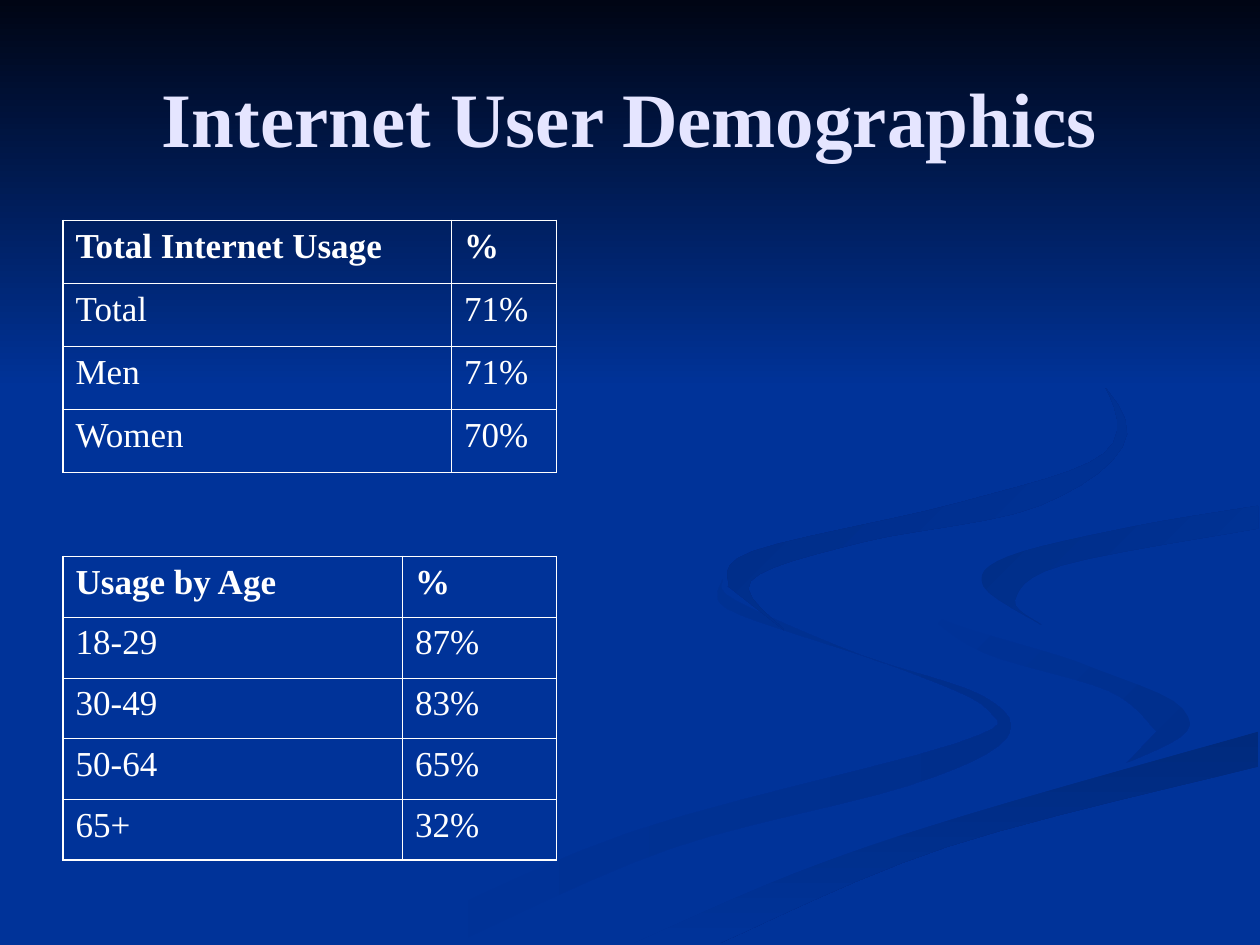
from dataclasses import dataclass
from lxml.etree import SubElement
from pptx import Presentation
from pptx.dml.color import RGBColor
from pptx.enum.text import MSO_ANCHOR, PP_ALIGN
from pptx.oxml.ns import qn
from pptx.util import Pt


@dataclass(frozen=True)
class Theme:
    font: str = "Times New Roman"
    title_size: float = 44
    cell_size: float = 20
    background: str = "003399"
    night: str = "000514"
    title: str = "E5E5FF"
    text: str = "FFFFFF"
    outer_line: float = 1.08
    inner_line: float = 0.45


THEME = Theme()
WIDTH, HEIGHT = 720, 540
TITLE = "Internet User Demographics"

TABLES = [
    dict(top=126, columns=(222, 60), row_height=36, rows=[
        ("Total Internet Usage", "%"), ("Total", "71%"), ("Men", "71%"), ("Women", "70%")]),
    dict(top=318, columns=(194, 88), row_height=34.75, rows=[
        ("Usage by Age", "%"), ("18-29", "87%"), ("30-49", "83%"), ("50-64", "65%"),
        ("65+", "32%")]),
]
TABLE_LEFT = 36

# Edges that two ribbons share
LOWER_EDGE = [(362, 539), (454, 499), (551, 466), (719, 418)]
UPPER_EDGE = [(595, 357), (562, 335), (576, 318), (647, 301), (719, 289)]

# Ribbons: start colour, end colour, clockwise angle, curved edges in drawing order
RIBBONS = [
    (THEME.background, "002E8B", 0, [
        [(413, 331), (420, 343), (491, 374), (562, 398), (575, 422), (519, 449),
         (383, 485), (260, 539)],
        [(216, 539), (359, 476), (546, 425), (565, 406), (514, 382), (422, 351), (410, 338)]]),
    (THEME.background, "002E8B", 45, [
        [(521, 334), (536, 353), (612, 377), (670, 398), (678, 418), (644, 436)],
        [(661, 418), (634, 395), (562, 373), (526, 348)]]),
    ("002A7D", THEME.background, 90, [
        LOWER_EDGE, [(719, 438), (541, 484), (411, 539)]]),
    (THEME.background, THEME.background, 0, [
        [(719, 279), (613, 296), (534, 316), (524, 341), (613, 377), (676, 405),
         (656, 432), (507, 472), (343, 539)],
        LOWER_EDGE, [(719, 387), (651, 374), (595, 357)], UPPER_EDGE]),
    ("002D86", THEME.background, 45, [
        UPPER_EDGE, [(719, 302), (607, 323), (580, 343), (595, 357)]]),
    ("002B82", THEME.background, 45, [
        [(549, 168), (607, 198), (644, 248), (594, 289), (492, 310), (429, 332), (448, 360)],
        [(416, 335), (430, 315), (549, 287), (631, 259), (631, 220), (596, 192)]]),
]
FADE_HEIGHT = 222


def smooth(edge, steps=6):
    """Run a Catmull-Rom curve through the points of an edge."""
    padded = [edge[0], *edge, edge[-1]]
    curve = []
    for a, b, c, d in zip(padded, padded[1:], padded[2:], padded[3:]):
        for step in range(steps):
            t = step / steps
            curve.append(tuple(
                q + t * (r - p + t * (2 * p - 5 * q + 4 * r - s
                                      + t * (3 * q - p - 3 * r + s))) / 2
                for p, q, r, s in zip(a, b, c, d)))
    return curve + [edge[-1]]


def write_text(frame, text, size, color, bold=False, align=PP_ALIGN.LEFT):
    paragraph = frame.paragraphs[0]
    paragraph.alignment = align
    span = paragraph.add_run()
    span.text = text
    span.font.name = THEME.font
    span.font.size = Pt(size)
    span.font.bold = bold
    span.font.color.rgb = RGBColor.from_string(color)


def add_backdrop(page, start, end, angle, outline):
    points = [(Pt(x), Pt(y)) for x, y in outline]
    builder = page.shapes.build_freeform(*points[0])
    builder.add_line_segments(points[1:], close=True)
    shape = builder.convert_to_shape()
    shape.shadow.inherit = False
    shape.line.fill.background()
    if start == end:
        shape.fill.solid()
        shape.fill.fore_color.rgb = RGBColor.from_string(start)
        return
    shape.fill.gradient()
    shape.fill.gradient_angle = (360 - angle) % 360
    for stop, color in zip(shape.fill.gradient_stops, (start, end)):
        stop.color.rgb = RGBColor.from_string(color)


def set_borders(cell, outer_sides):
    properties = cell._tc.get_or_add_tcPr()
    for index, side in enumerate(("lnL", "lnR", "lnT", "lnB")):
        width = THEME.outer_line if side in outer_sides else THEME.inner_line
        line = SubElement(properties, qn(f"a:{side}"), w=str(int(Pt(width))))
        fill = SubElement(line, qn("a:solidFill"))
        SubElement(fill, qn("a:srgbClr"), val=THEME.text)
        properties.insert(index, line)


def add_usage_table(page, top, columns, row_height, rows):
    table = page.shapes.add_table(
        len(rows), len(columns), Pt(TABLE_LEFT), Pt(top),
        Pt(sum(columns)), Pt(row_height * len(rows))).table
    table.horz_banding = False
    for column, width in zip(table.columns, columns):
        column.width = Pt(width)
    for r, values in enumerate(rows):
        table.rows[r].height = Pt(row_height)
        for c, value in enumerate(values):
            cell = table.cell(r, c)
            cell.fill.background()
            write_text(cell.text_frame, value, size=THEME.cell_size,
                       color=THEME.text, bold=r == 0)
            edges = {"lnL": c == 0, "lnR": c == len(columns) - 1,
                     "lnT": r == 0, "lnB": r == len(rows) - 1}
            set_borders(cell, {side for side, outer in edges.items() if outer})


def main():
    deck = Presentation()
    deck.slide_width, deck.slide_height = Pt(WIDTH), Pt(HEIGHT)
    page = deck.slides.add_slide(deck.slide_layouts[6])

    # Background ribbons and top fade
    page.background.fill.solid()
    page.background.fill.fore_color.rgb = RGBColor.from_string(THEME.background)
    for start, end, angle, edges in RIBBONS:
        outline = [point for edge in edges for point in smooth(edge)]
        add_backdrop(page, start, end, angle, outline)
    add_backdrop(page, THEME.night, THEME.background, 90,
                 [(0, 0), (0, FADE_HEIGHT), (WIDTH, FADE_HEIGHT), (WIDTH, 0)])

    # Title
    box = page.shapes.add_textbox(Pt(36), Pt(21.6), Pt(648), Pt(90))
    box.text_frame.word_wrap = True
    box.text_frame.vertical_anchor = MSO_ANCHOR.MIDDLE
    write_text(box.text_frame, TITLE, size=THEME.title_size, color=THEME.title,
               bold=True, align=PP_ALIGN.CENTER)

    # Usage tables
    for table in TABLES:
        add_usage_table(page, **table)

    deck.save("out.pptx")


if __name__ == "__main__":
    main()
